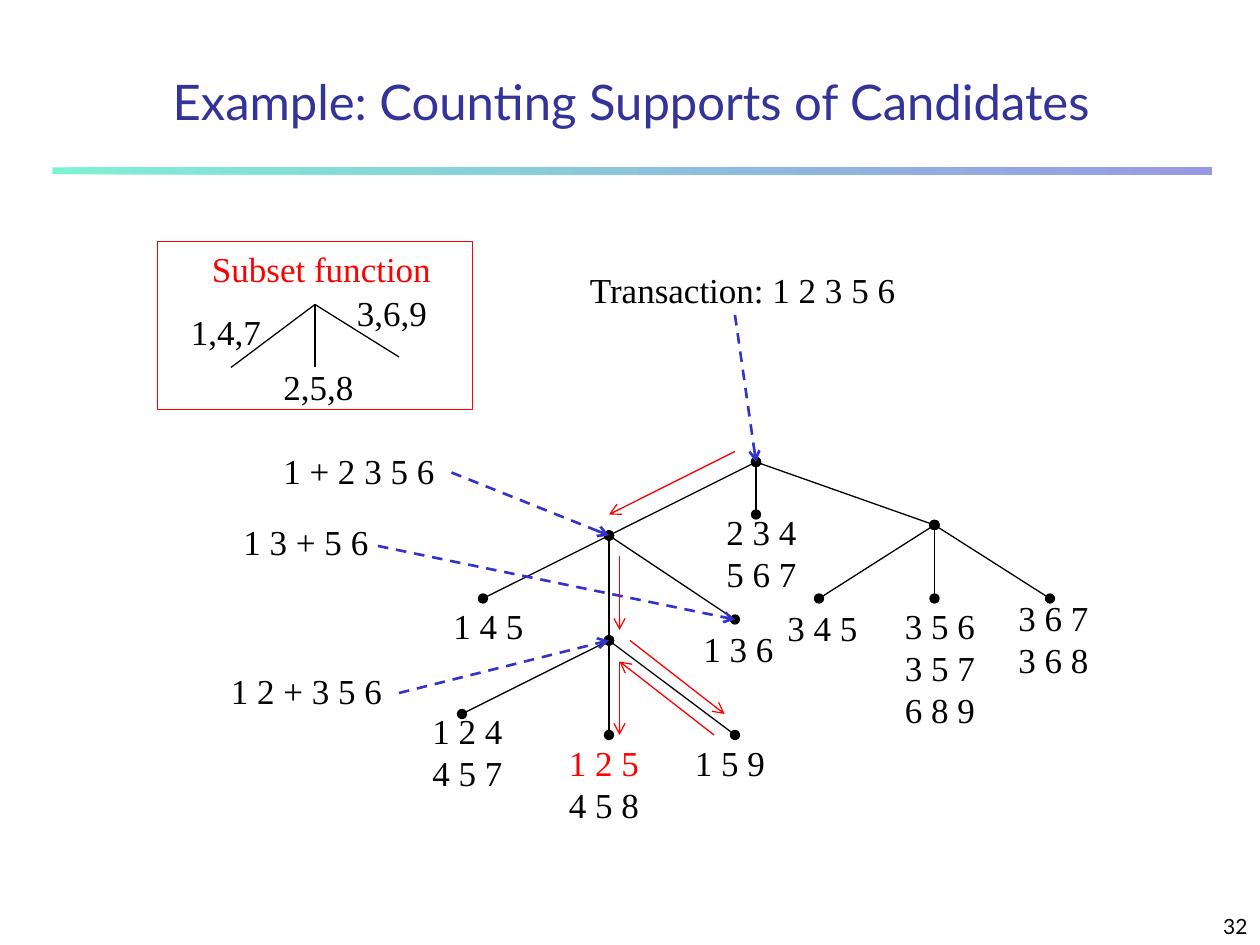
"""Build a slide showing how a hash tree counts the supports of candidates."""
from dataclasses import dataclass

from lxml import etree
from pptx import Presentation
from pptx.dml.color import RGBColor
from pptx.enum.dml import MSO_LINE
from pptx.enum.shapes import MSO_CONNECTOR, MSO_SHAPE
from pptx.enum.text import MSO_ANCHOR, MSO_AUTO_SIZE, PP_ALIGN
from pptx.oxml.ns import qn
from pptx.util import Inches, Pt

RECT, STRAIGHT, DASH = MSO_SHAPE.RECTANGLE, MSO_CONNECTOR.STRAIGHT, MSO_LINE.DASH
BOTTOM, CENTER, RIGHT = MSO_ANCHOR.BOTTOM, PP_ALIGN.CENTER, PP_ALIGN.RIGHT
GROW = MSO_AUTO_SIZE.SHAPE_TO_FIT_TEXT

COLORS = {"black": "000000", "red": "FF0000", "blue": "3333CC",
          "title": "333399", "mint": "00E4A8"}
COLS, ROWS = 120, 90
WIDTH, HEIGHT = Inches(10), Inches(7.5)
CODE_W, LINE_H, PAD_H = 9.2, 3.96, 1.32


@dataclass
class Label:
    x: float
    y: float
    lines: tuple
    w: float = CODE_W
    first: str = "black"


@dataclass
class Line:
    start: tuple
    end: tuple
    color: str = "black"
    head: str = "none"
    tail: str = "none"
    dashed: bool = False


def gx(col: float) -> int:
    return round(WIDTH * col / COLS)


def gy(row: float) -> int:
    return round(HEIGHT * row / ROWS)


def rgb(name: str) -> RGBColor:
    return RGBColor.from_string(COLORS[name])


def style(p, font: str, size: int, color: str) -> None:
    p.font.name, p.font.size = font, Pt(size)
    p.font.color.rgb = rgb(color)


def place(sp, x: float, y: float, w: float, h: float) -> None:
    sp.left, sp.top, sp.width, sp.height = gx(x), gy(y), gx(w), gy(h)


def add_label(s, label: Label) -> None:
    height = PAD_H + LINE_H * len(label.lines)
    tf = s.shapes.add_textbox(gx(label.x), gy(label.y), gx(label.w), gy(height)).text_frame
    tf.word_wrap, tf.auto_size = False, GROW
    tf.text = "\n".join(label.lines)
    for i, p in enumerate(tf.paragraphs):
        style(p, "Times New Roman", 20, "black" if i else label.first)


def add_line(s, line: Line) -> None:
    c = s.shapes.add_connector(STRAIGHT, gx(line.start[0]), gy(line.start[1]),
                               gx(line.end[0]), gy(line.end[1]))
    c.line.color.rgb = rgb(line.color)
    c.line.width = Pt(1.5 if line.dashed else 0.75)
    if line.dashed:
        c.line.dash_style = DASH
    ln = c.line._get_or_add_ln()
    for tag, kind in (("a:headEnd", line.head), ("a:tailEnd", line.tail)):
        etree.SubElement(ln, qn(tag)).set("type", kind)
    etree.SubElement(c._element.spPr, qn("a:effectLst"))


def add_rect(s, x: float, y: float, w: float, h: float):
    sp = s.shapes.add_shape(RECT, gx(x), gy(y), gx(w), gy(h))
    sp.shadow.inherit = False
    return sp


def add_title(s, text: str) -> None:
    title = s.shapes.title
    place(title, 9, 5, 102.2, 8)
    tf = title.text_frame
    tf.text, tf.vertical_anchor = text, BOTTOM
    p = tf.paragraphs[0]
    p.alignment = CENTER
    style(p, "Lato", 28, "title")


def add_rule(s) -> None:
    bar = add_rect(s, 5, 15.95, 110.4, 0.65)
    bar.line.fill.background()
    bar.fill.gradient()
    bar.fill.gradient_angle = 0
    for stop, name in zip(bar.fill.gradient_stops, ("mint", "blue")):
        stop.color.rgb = rgb(name)
    for clr in bar._element.spPr.iter(qn("a:srgbClr")):
        etree.SubElement(clr, qn("a:alpha")).set("val", "50000")


def add_number(s, text: str) -> None:
    tf = s.shapes.add_textbox(gx(95), gy(85), gx(25), gy(5)).text_frame
    tf.word_wrap, tf.vertical_anchor, tf.text = True, BOTTOM, text
    p = tf.paragraphs[0]
    p.alignment = RIGHT
    style(p, "Lato", 12, "black")


ROOT, ONE, THREE, ONE_TWO, ONE_THREE = (72, 44), (58, 51), (89, 50), (58, 61), (70, 59)
TREE = {
    ROOT: (ONE, (72, 49), THREE),
    ONE: ((46, 57), ONE_TWO, ONE_THREE),
    ONE_TWO: ((44, 68), (58, 70), (70, 70)),
    THREE: ((78, 57), (89, 57), (100, 57)),
}
HASH_TOP, HASH_ENDS = (30, 29), ((22, 35), (30, 35), (38, 34))
LABELS = (
    Label(19, 23, ("Subset function",), 23.3, "red"),
    Label(17, 29, ("1,4,7",)),
    Label(25.8, 34.2, ("2,5,8",)),
    Label(32.8, 27.2, ("3,6,9",)),
    Label(68, 48, ("2 3 4", "5 6 7")),
    Label(42, 57, ("1 4 5",)),
    Label(65.8, 59.2, ("1 3 6",)),
    Label(40, 67, ("1 2 4", "4 5 7")),
    Label(53, 70, ("1 2 5", "4 5 8"), first="red"),
    Label(65, 70, ("1 5 9",)),
    Label(73.8, 57.2, ("3 4 5",)),
    Label(85, 57, ("3 5 6", "3 5 7", "6 8 9")),
    Label(95.8, 56.2, ("3 6 7", "3 6 8")),
    Label(55, 25, ("Transaction: 1 2 3 5 6",), 31.6),
    Label(25.8, 42.2, ("1 + 2 3 5 6",), 16.8),
    Label(20.8, 63.2, ("1 2 + 3 5 6",), 16.8),
    Label(22, 49, ("1 3 + 5 6",), 14.3),
)
PREFIX_LINKS = (((70, 30), ROOT), ((43, 45), ONE), ((38, 66), ONE_TWO), ((36, 52), ONE_THREE))
VISITS = (((70, 43), (58, 49)), ((60, 61), (69, 68)), ((68, 70), (59, 63)),
          ((59, 53), (59, 60)), ((59, 63), (59, 70)))


def main() -> None:
    prs = Presentation()
    prs.slide_width, prs.slide_height = WIDTH, HEIGHT
    s = prs.slides.add_slide(prs.slide_layouts[5])
    add_title(s, "Example: Counting Supports of Candidates")
    add_rule(s)
    add_number(s, "32")
    frame = add_rect(s, 15, 23, 30, 16)
    frame.fill.background()
    frame.line.color.rgb, frame.line.width = rgb("red"), Pt(0.75)
    lines = [Line(HASH_TOP, end) for end in HASH_ENDS]
    lines += [Line(parent, child, head="oval", tail="oval")
              for parent, children in TREE.items() for child in children]
    lines += [Line(a, b, "blue", tail="arrow", dashed=True) for a, b in PREFIX_LINKS]
    lines += [Line(a, b, "red", tail="arrow") for a, b in VISITS]
    for line in lines:
        add_line(s, line)
    for label in LABELS:
        add_label(s, label)
    prs.save("out.pptx")


if __name__ == "__main__":
    main()
